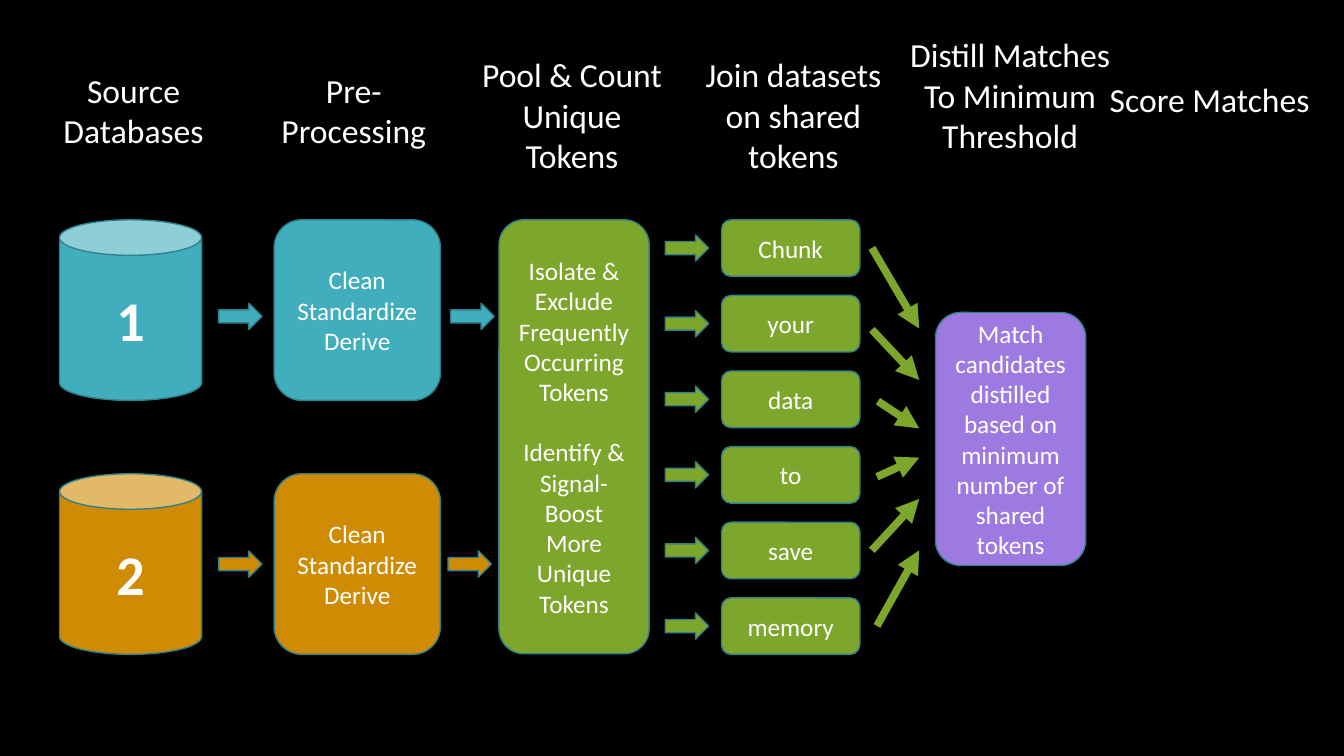
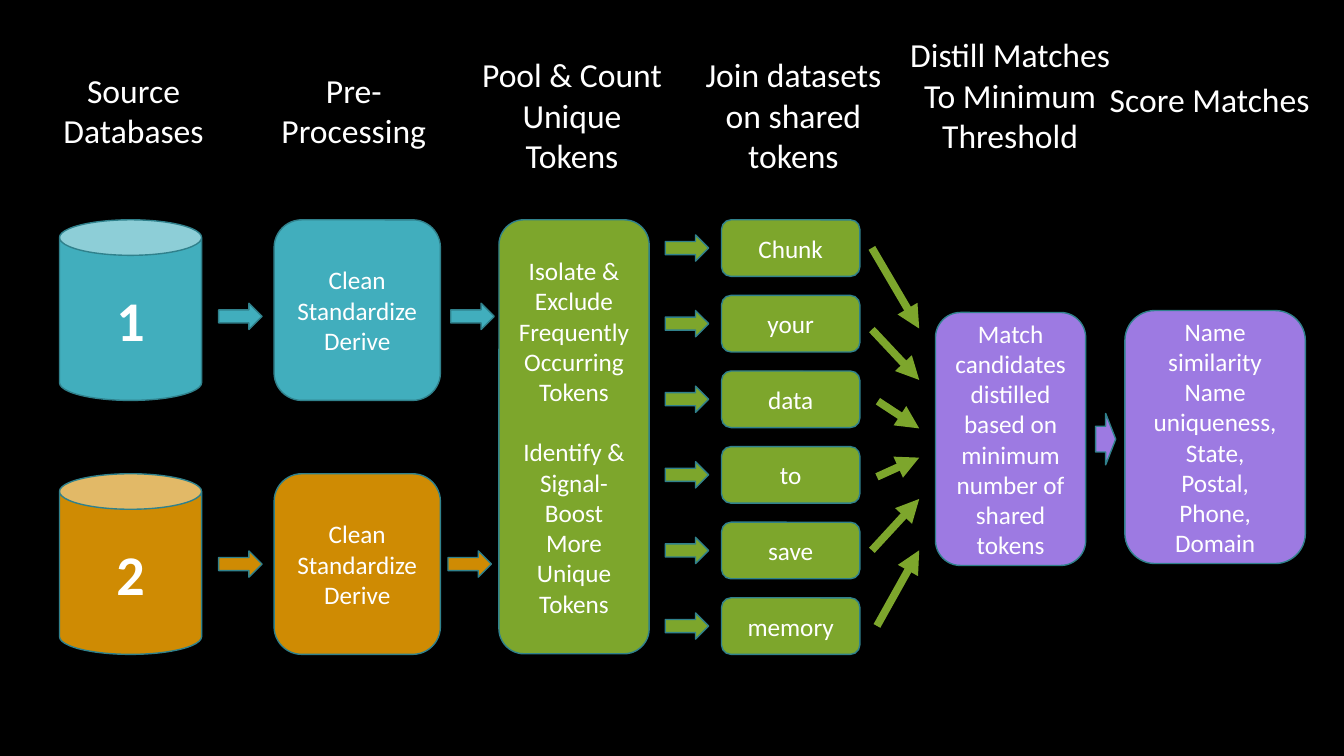
from collections import namedtuple

from lxml.etree import SubElement
from pptx import Presentation
from pptx.dml.color import RGBColor
from pptx.enum.shapes import MSO_CONNECTOR, MSO_SHAPE
from pptx.enum.text import MSO_ANCHOR, PP_ALIGN
from pptx.oxml.ns import qn
from pptx.util import Pt

# Shared look
FONT = "Calibri"
BLACK, WHITE, OUTLINE = "000000", "FFFFFF", "30818C"
TEAL, AMBER, GREEN, PURPLE = "41AEBD", "CF8B03", "7DA62C", "9D7AE2"
BLANK_LAYOUT = 6

Box = namedtuple("Box", "left top width height")

# Regions of the pipeline
LANES = [
    # number, colour, box, drop of the arrows, left of the second arrow
    ("1", TEAL, Box(42.5, 157, 272, 129), 4.5, 279.5),
    ("2", AMBER, Box(42.5, 338.4, 272, 129), 0, 277.5),
]
POOL = Box(356.4, 157, 107.3, 310)
JOIN = Box(475.2, 157, 139, 310.4)
FAN = Box(622.8, 177.1, 33.8, 270)
DISTILL = Box(668.2, 223.2, 107.3, 180.7)
SCORE = Box(782.6, 221.8, 149.8, 180.7)

HEADINGS = [
    ("Source Databases", Box(18.7, 46.1, 153.4, 65.5)),
    ("Pre-Processing", Box(174.2, 46.1, 157, 65.5)),
    ("Pool & Count Unique Tokens", Box(334.1, 35.3, 149, 94.3)),
    ("Join datasets on shared tokens", Box(488.2, 35.3, 157, 94.3)),
    ("Distill Matches To Minimum Threshold", Box(643, 20.9, 157, 123.8)),
    ("Score Matches", Box(785.5, 52.6, 157, 65.5)),
]
TOKENS = ["Chunk", "your", "data", "to", "save", "memory"]
# Start x, start y and end y of each converging arrow, inside FAN
FAN_ARROWS = [(0, 0, 57.6), (0, 58.3, 94.3), (4.3, 109.5, 128.9),
              (3.6, 163.5, 149.8), (0, 216, 179.3), (3.6, 270, 216)]


def colour(code):
    return RGBColor.from_string(code)


def points(box):
    return [Pt(length) for length in box]


def write(frame, lines, size, bold=False, gap=0):
    """Fill a text frame with centred white paragraphs."""
    frame.word_wrap = True
    for index, line in enumerate(lines):
        para = frame.paragraphs[0] if index == 0 else frame.add_paragraph()
        para.alignment = PP_ALIGN.CENTER
        if index:
            para.space_before = Pt(gap)
        span = para.add_run()
        span.text = line
        span.font.name = FONT
        span.font.size = Pt(size)
        span.font.bold = bold
        span.font.color.rgb = colour(WHITE)


def add_block(page, kind, box, fill, lines=(), size=18, bold=False, gap=0):
    shape = page.shapes.add_shape(kind, *points(box))
    shape.shadow.inherit = False
    shape.fill.solid()
    shape.fill.fore_color.rgb = colour(fill)
    shape.line.color.rgb = colour(OUTLINE)
    shape.line.width = Pt(1)
    shape.text_frame.vertical_anchor = MSO_ANCHOR.MIDDLE
    write(shape.text_frame, lines, size, bold, gap)


def add_card(page, box, fill, lines, gap=0):
    add_block(page, MSO_SHAPE.ROUNDED_RECTANGLE, box, fill, lines, gap=gap)


def add_block_arrow(page, left, middle, fill, width=31, height=18.7):
    box = Box(left, middle - height / 2, width, height)
    add_block(page, MSO_SHAPE.RIGHT_ARROW, box, fill)


def add_line_arrow(page, start, end):
    line = page.shapes.add_connector(
        MSO_CONNECTOR.STRAIGHT, *points(start + end))
    line.line.color.rgb = colour(GREEN)
    line.line.width = Pt(5.5)
    properties = line._element.spPr
    SubElement(properties.find(qn("a:ln")), qn("a:tailEnd"), type="triangle")
    SubElement(properties, qn("a:effectLst"))


def add_headings(page):
    for text, box in HEADINGS:
        heading = page.shapes.add_textbox(*points(box))
        write(heading.text_frame, [text], 24)


def add_lane(page, number, fill, box, arrow_drop, second_arrow):
    """Database, arrow, cleaning card, arrow."""
    middle = box.top + box.height / 2 + arrow_drop
    add_block(page, MSO_SHAPE.CAN, box._replace(width=101.5), fill,
              [number], size=40, bold=True)
    add_block_arrow(page, box.left + 113.7, middle, fill)
    card = box._replace(left=box.left + 153.3, width=118.8)
    add_card(page, card, fill, ["Clean", "Standardize", "Derive"])
    add_block_arrow(page, box.left + second_arrow, middle, fill)


def add_pool(page, box):
    add_card(page, box, GREEN,
             ["Isolate & Exclude Frequently Occurring Tokens",
              "Identify & Signal-Boost More Unique Tokens"], gap=21.6)


def add_join(page, box):
    """Evenly spaced token cards, each fed by an arrow."""
    width, height = 98.8, 40.4
    pitch = (box.height - height) / (len(TOKENS) - 1)
    for index, token in enumerate(TOKENS):
        top = box.top + index * pitch
        card = Box(box.left + box.width - width, top, width, height)
        add_card(page, card, GREEN, [token])
        add_block_arrow(page, box.left, top + height / 2, GREEN)


def add_fan(page, box):
    for start_x, start_y, end_y in FAN_ARROWS:
        add_line_arrow(page, (box.left + start_x, box.top + start_y),
                       (box.left + box.width, box.top + end_y))


def add_distill(page, box):
    add_card(page, box, PURPLE,
             ["Match candidates distilled based on minimum number of "
              "shared tokens"])


def add_score(page, box):
    """Arrow followed by the scoring card."""
    card = box._replace(left=box.left + 20.9, width=128.9)
    add_card(page, card, PURPLE,
             ["Name similarity Name uniqueness, State,",
              "Postal, Phone, Domain"])
    add_block_arrow(page, box.left, box.top + box.height / 2 + 1.5,
                    PURPLE, width=14.4, height=36.7)


def add_pipeline(deck, scored):
    page = deck.slides.add_slide(deck.slide_layouts[BLANK_LAYOUT])
    add_headings(page)
    for lane in LANES:
        add_lane(page, *lane)
    add_pool(page, POOL)
    add_join(page, JOIN)
    add_distill(page, DISTILL)
    add_fan(page, FAN)
    if scored:
        add_score(page, SCORE)


def main():
    deck = Presentation()
    deck.slide_width, deck.slide_height = Pt(960), Pt(540)
    backdrop = deck.slide_master.background.fill
    backdrop.solid()
    backdrop.fore_color.rgb = colour(BLACK)
    for scored in (False, True):
        add_pipeline(deck, scored)
    deck.save("out.pptx")


if __name__ == "__main__":
    main()
